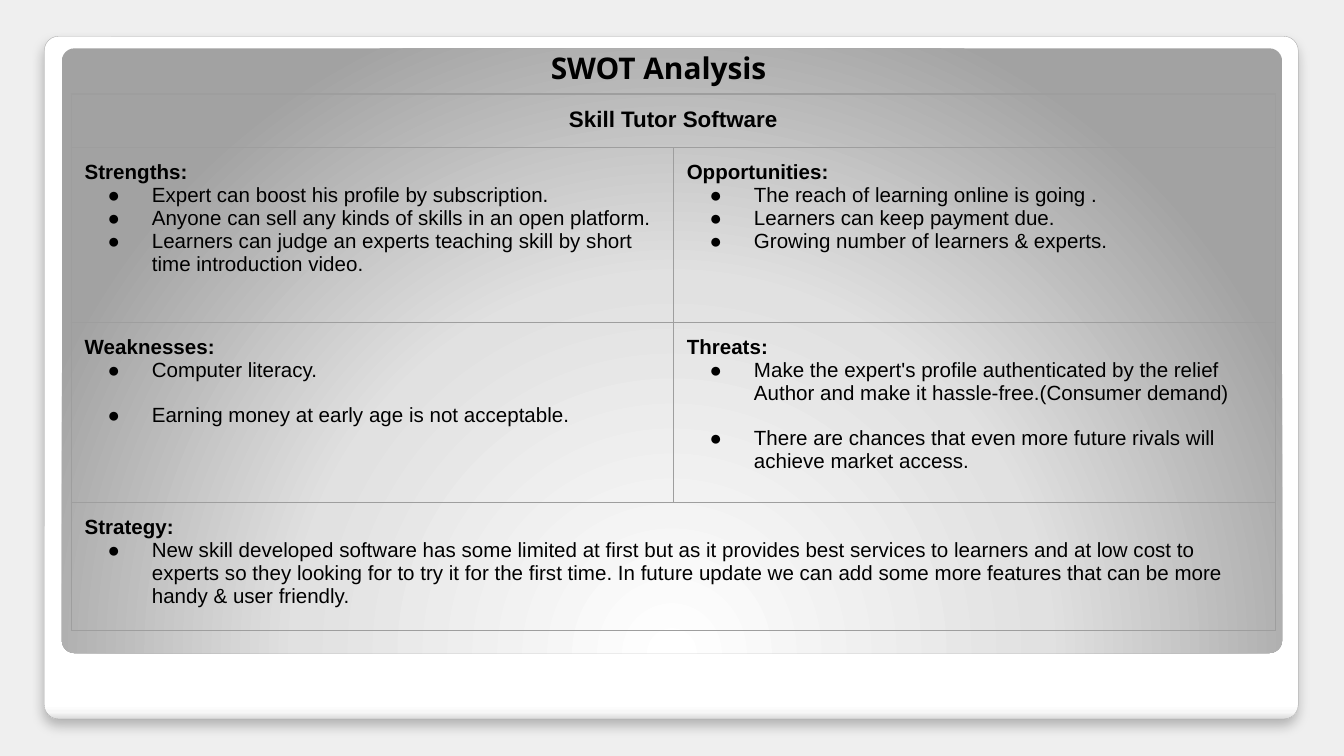
import pptx
import pptx.dml.color
import pptx.enum.shapes
import pptx.enum.text
import pptx.oxml
import pptx.oxml.ns
import pptx.util

Inches, Pt = pptx.util.Inches, pptx.util.Pt
RGB = pptx.dml.color.RGBColor.from_string
qn = pptx.oxml.ns.qn
NS = pptx.oxml.ns.nsdecls("a")
CENTER = pptx.enum.text.PP_ALIGN.CENTER

# Content
TITLE = "SWOT Analysis"
SUBJECT = "Skill Tutor Software"
# (row, column, columns spanned, heading, bullets, points between bullets)
SECTIONS = [
    (1, 0, 1, "Strengths:", [
        "Expert can boost his profile by subscription.",
        "Anyone can sell any kinds of skills in an open platform.",
        "Learners can judge an experts teaching skill by short time introduction video.",
    ], 0),
    (1, 1, 1, "Opportunities:", [
        "The reach of learning online is going .",
        "Learners can keep payment due.",
        "Growing number of learners & experts.",
    ], 0),
    (2, 0, 1, "Weaknesses:", [
        "Computer literacy.",
        "Earning money at early age is not acceptable.",
    ], 12),
    (2, 1, 1, "Threats:", [
        "Make the expert's profile authenticated by the relief Author and make it "
        "hassle-free.(Consumer demand)",
        "There are chances that even more future rivals will achieve market access.",
    ], 12),
    (3, 0, 2, "Strategy:", [
        "New skill developed software has some limited at first but as it provides best "
        "services to learners and at low cost to experts so they looking for to try it for "
        "the first time. In future update we can add some more features that can be more "
        "handy & user friendly.",
    ], 0),
]

# Formats
COLORS = {"page": "EFEFEF", "edge": "A4A4A4", "grid": "9E9E9E", "text": "000000"}
FONTS = {
    "title": {"name": "Open Sans", "size": Pt(16), "bold": True},
    "subject": {"name": "Arial", "size": Pt(12), "bold": True},
    "heading": {"name": "Arial", "size": Pt(11), "bold": True},
    "bullet": {"name": "Arial", "size": Pt(11), "bold": False},
}
CARD_STOPS = [(0, "FFFFFF"), (98, "FFFFFF"), (99, "F7F7F7"), (100, "DADADA")]
PANEL_STOPS = [(0, "FFFFFF"), (55, "E1E1E1"), (100, "A2A2A2")]
LINEAR = '<a:lin ang="5400000" scaled="0"/>'
RADIAL = ('<a:path path="circle"><a:fillToRect l="50000" t="175000" r="50000" b="-75000"/>'
          '</a:path>')
MARGINS = dict.fromkeys(
    ("margin_left", "margin_top", "margin_right", "margin_bottom"), Inches(0.1))
COL_WIDTHS = [4.48, 4.48]
ROW_HEIGHTS = [0.4, 1.3, 1.34, 0.95]


def apply(obj, values):
    for name, value in values.items():
        setattr(obj, name, value)


def write(p, text, style):
    r = p.add_run()
    r.text = text
    apply(r.font, FONTS[style])
    r.font.color.rgb = RGB(COLORS["text"])


def add_card(box, stops, direction):
    s = slide.shapes.add_shape(
        pptx.enum.shapes.MSO_SHAPE.ROUNDED_RECTANGLE, *map(Inches, box))
    s.adjustments[0] = 0.021
    s.line.fill.background()
    s.shadow.inherit = False
    s.fill.background()
    sp_pr = s._element.spPr
    gs = "".join(f'<a:gs pos="{pos * 1000}"><a:srgbClr val="{color}"/></a:gs>'
                 for pos, color in stops)
    sp_pr.replace(sp_pr.find(qn("a:noFill")), pptx.oxml.parse_xml(
        f'<a:gradFill {NS} rotWithShape="1"><a:gsLst>{gs}</a:gsLst>{direction}</a:gradFill>'))
    return s


def add_bullet(p):
    p_pr = p._p.get_or_add_pPr()
    p_pr.set("marL", str(Inches(0.5)))
    p_pr.set("indent", str(Inches(-0.33)))
    for xml in (f'<a:buClr {NS}><a:srgbClr val="{COLORS["text"]}"/></a:buClr>',
                f'<a:buFont {NS} typeface="Arial"/>',
                f'<a:buChar {NS} char="●"/>'):
        p_pr.append(pptx.oxml.parse_xml(xml))


def format_cell(cell):
    apply(cell, MARGINS)
    cell.fill.background()
    tc_pr = cell._tc.get_or_add_tcPr()
    for i, side in enumerate(("lnL", "lnR", "lnT", "lnB")):
        tc_pr.insert(i, pptx.oxml.parse_xml(
            f'<a:{side} {NS} w="{Pt(0.75)}"><a:solidFill>'
            f'<a:srgbClr val="{COLORS["grid"]}"/></a:solidFill></a:{side}>'))


prs = pptx.Presentation()
prs.slide_width = Inches(10)
prs.slide_height = prs.slide_width * 9 // 16
slide = prs.slides.add_slide(prs.slide_layouts[6])
slide.background.fill.solid()
slide.background.fill.fore_color.rgb = RGB(COLORS["page"])

# Card with shadow, and the shaded panel on it
card = add_card((0.33, 0.27, 9.33, 5.08), CARD_STOPS, LINEAR)
card.line.color.rgb = RGB(COLORS["edge"])
card.line.width = Pt(0.16)
card._element.spPr.find(qn("a:effectLst")).append(pptx.oxml.parse_xml(
    f'<a:outerShdw {NS} blurRad="{Pt(6)}" dist="{Pt(4)}" dir="5400000" algn="t" '
    'rotWithShape="0"><a:srgbClr val="000000"><a:alpha val="25000"/></a:srgbClr>'
    '</a:outerShdw>'))
add_card((0.46, 0.36, 9.08, 4.5), PANEL_STOPS, RADIAL)

# Title
tf = slide.shapes.add_textbox(*map(Inches, (0.24, 0.27, 9.32, 0.47))).text_frame
apply(tf, {**MARGINS, "word_wrap": True})
tf.paragraphs[0].alignment = CENTER
write(tf.paragraphs[0], TITLE, "title")

# Table grid
table = slide.shapes.add_table(
    len(ROW_HEIGHTS), len(COL_WIDTHS), Inches(0.53), Inches(0.7),
    Inches(sum(COL_WIDTHS)), Inches(sum(ROW_HEIGHTS))).table
table.first_row = table.horz_banding = False
for col, width in zip(table.columns, COL_WIDTHS):
    col.width = Inches(width)
for row, height in zip(table.rows, ROW_HEIGHTS):
    row.height = Inches(height)
for cell in table.iter_cells():
    format_cell(cell)

# Table text
subject = table.cell(0, 0)
subject.merge(table.cell(0, 1))
p = subject.text_frame.paragraphs[0]
p.alignment = CENTER
write(p, SUBJECT, "subject")
for row, col, span, heading, bullets, gap in SECTIONS:
    cell = table.cell(row, col)
    if span > 1:
        cell.merge(table.cell(row, col + span - 1))
    tf = cell.text_frame
    write(tf.paragraphs[0], heading, "heading")
    for i, text in enumerate(bullets):
        p = tf.add_paragraph()
        if i and gap:
            p.space_before = Pt(gap)
        add_bullet(p)
        write(p, text, "bullet")

prs.save("out.pptx")
